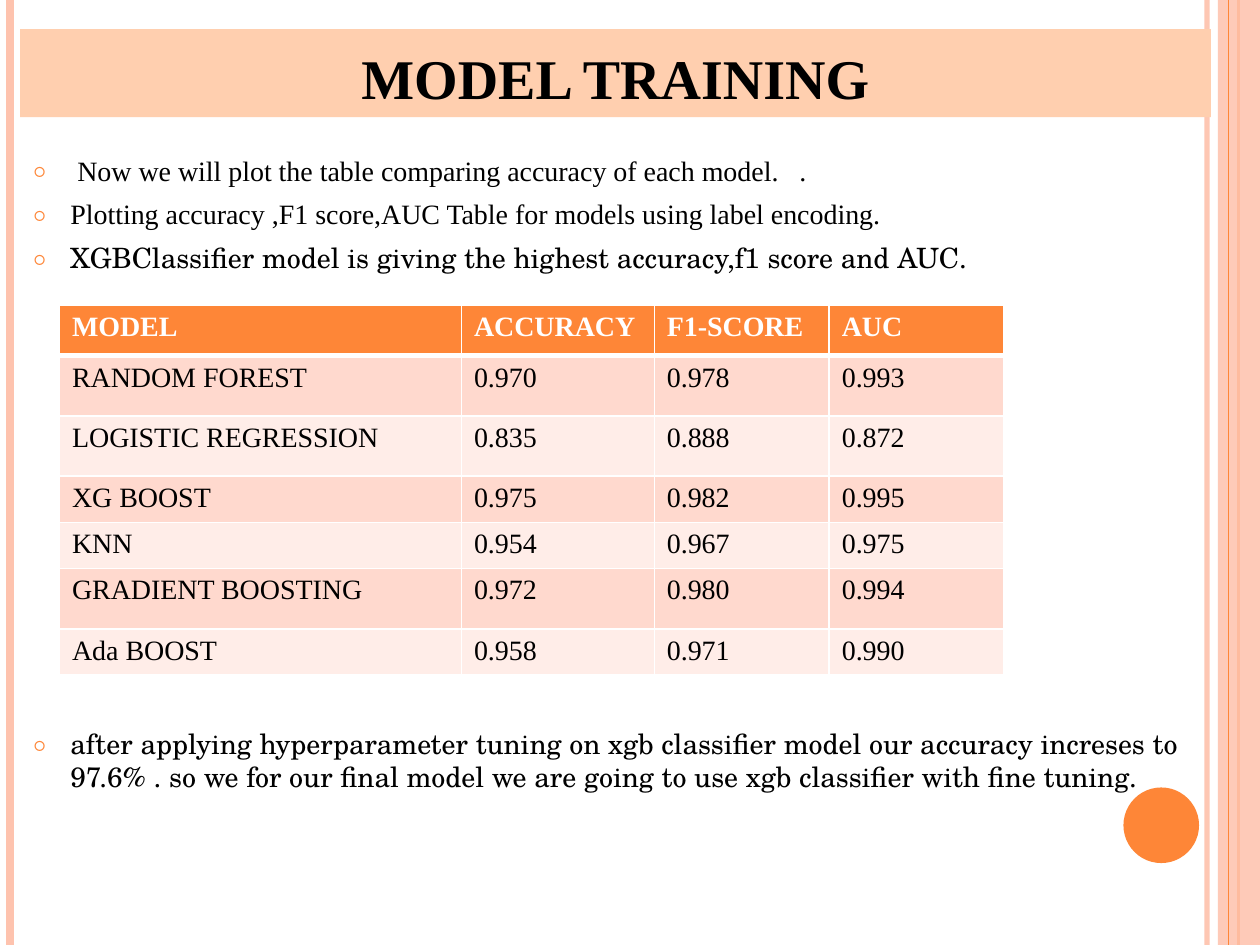
import dataclasses

import lxml.etree
import pptx
import pptx.dml.color
import pptx.enum.shapes
import pptx.enum.text
import pptx.oxml.ns
import pptx.slide
import pptx.util

Pt = pptx.util.Pt
qn = pptx.oxml.ns.qn
Shapes = pptx.enum.shapes.MSO_SHAPE
Align = pptx.enum.text.PP_ALIGN


@dataclasses.dataclass(frozen=True)
class Theme:
    orange: str = "FE8637"
    pink: str = "FEC3AE"
    peach: str = "FFCFAF"
    band_dark: str = "FFD9CE"
    band_light: str = "FFEDE8"
    black: str = "000000"
    white: str = "FFFFFF"
    serif: str = "Times New Roman"
    school: str = "TeX Gyre Schola"
    title_size: float = 32
    body_size: float = 16


@dataclasses.dataclass(frozen=True)
class Rule:
    x: float
    width: float
    color: str
    opacity: int = 100


@dataclasses.dataclass(frozen=True)
class Panel:
    kind: Shapes
    left: float
    top: float
    width: float
    height: float
    color: str
    opacity: int = 100


@dataclasses.dataclass(frozen=True)
class Bullet:
    text: str
    font: str
    space_before: float = 6


THEME = Theme()
PAGE_WIDTH, PAGE_HEIGHT = 720, 540

# Page furniture, back to front
FURNITURE = [
    Rule(689.8, 3, THEME.pink, 93),
    Rule(5.8, 4.5, THEME.pink),
    Rule(707.8, 1.5, THEME.orange),
    Panel(Shapes.RECTANGLE, 696, 0, 24, PAGE_HEIGHT, THEME.pink, 87),
    Rule(702, 0.75, THEME.orange),
    Panel(Shapes.OVAL, 642, 450, 43.2, 43.2, THEME.orange),
]
TITLE_BAND = Panel(Shapes.RECTANGLE, 11.5, 16.6, 680.4, 50.4, THEME.peach)

# The last bullet stands below the table
BULLETS = [
    Bullet(" Now we will plot the table comparing accuracy of each model.   .", THEME.serif),
    Bullet("Plotting accuracy ,F1 score,AUC Table for models using label encoding.", THEME.serif),
    Bullet("XGBClassifier model is giving the highest accuracy,f1 score and AUC.", THEME.school),
    Bullet("after applying hyperparameter tuning on xgb classifier model our accuracy increses to "
           "97.6% . so we for our final model we are going to use xgb classifier with fine tuning.",
           THEME.school, 258.7),
]

SCORES = [
    ("MODEL", "ACCURACY", "F1-SCORE", "AUC"),
    ("RANDOM FOREST", "0.970", "0.978", "0.993"),
    ("LOGISTIC REGRESSION", "0.835", "0.888", "0.872"),
    ("XG BOOST", "0.975", "0.982", "0.995"),
    ("KNN", "0.954", "0.967", "0.975"),
    ("GRADIENT BOOSTING", "0.972", "0.980", "0.994"),
    ("Ada BOOST", "0.958", "0.971", "0.990"),
]
COLUMN_WIDTHS = [229.7, 110.2, 100, 100]
ROW_HEIGHTS = [28.8, 34.4, 34.4, 24.8, 24.8, 34.4, 24.8]


def rgb(color: str) -> pptx.dml.color.RGBColor:
    return pptx.dml.color.RGBColor.from_string(color)


def set_opacity(element, percent: int) -> None:
    if percent < 100:
        color = next(element.iter(qn("a:srgbClr")))
        lxml.etree.SubElement(color, qn("a:alpha"), val=str(percent * 1000))


def style_font(font, name: str, size: float, color: str, bold: bool = False) -> None:
    font.name, font.size, font.bold = name, Pt(size), bold
    font.color.rgb = rgb(color)


def draw_rule(page: pptx.slide.Slide, rule: Rule) -> None:
    line = page.shapes.add_connector(pptx.enum.shapes.MSO_CONNECTOR.STRAIGHT,
                                     Pt(rule.x), Pt(0), Pt(rule.x), Pt(PAGE_HEIGHT))
    line.line.width = Pt(rule.width)
    line.line.color.rgb = rgb(rule.color)
    properties = line._element.spPr
    set_opacity(properties, rule.opacity)
    lxml.etree.SubElement(properties, qn("a:effectLst"))


def draw_panel(page: pptx.slide.Slide, panel: Panel):
    shape = page.shapes.add_shape(panel.kind, Pt(panel.left), Pt(panel.top),
                                  Pt(panel.width), Pt(panel.height))
    shape.shadow.inherit = False
    shape.fill.solid()
    shape.fill.fore_color.rgb = rgb(panel.color)
    shape.line.fill.background()
    set_opacity(shape._element.spPr, panel.opacity)
    return shape


def draw_title(page: pptx.slide.Slide, text: str) -> None:
    frame = draw_panel(page, TITLE_BAND).text_frame
    frame.vertical_anchor = pptx.enum.text.MSO_ANCHOR.BOTTOM
    para = frame.paragraphs[0]
    para.text, para.alignment = text, Align.CENTER
    style_font(para.font, THEME.serif, THEME.title_size, THEME.black, bold=True)


def add_bullet_mark(para) -> None:
    properties = para._p.get_or_add_pPr()
    indent = Pt(21.6)
    properties.set("marL", str(indent))
    properties.set("indent", str(-indent))
    color = lxml.etree.SubElement(properties, qn("a:buClr"))
    lxml.etree.SubElement(color, qn("a:srgbClr"), val=THEME.orange)
    lxml.etree.SubElement(properties, qn("a:buSzPct"), val="70000")
    lxml.etree.SubElement(properties, qn("a:buFont"), typeface=THEME.school)
    lxml.etree.SubElement(properties, qn("a:buChar"), char="○")


def draw_bullets(page: pptx.slide.Slide, bullets: list[Bullet]) -> None:
    box = page.shapes.add_textbox(Pt(11.5), Pt(84.2), Pt(675.4), Pt(438.5))
    frame = box.text_frame
    frame.word_wrap = True
    for index, bullet in enumerate(bullets):
        para = frame.add_paragraph() if index else frame.paragraphs[0]
        para.text = bullet.text
        para.line_spacing = Pt(19)
        para.space_before = Pt(bullet.space_before)
        add_bullet_mark(para)
        style_font(para.font, bullet.font, THEME.body_size, THEME.black)


def set_borders(cell, top: float, bottom: float) -> None:
    properties = cell._tc.get_or_add_tcPr()
    for side, width in (("L", 1), ("R", 1), ("T", top), ("B", bottom)):
        line = lxml.etree.SubElement(properties, qn(f"a:ln{side}"), w=str(Pt(width)))
        fill = lxml.etree.SubElement(line, qn("a:solidFill"))
        lxml.etree.SubElement(fill, qn("a:srgbClr"), val=THEME.white)


def draw_scores(page: pptx.slide.Slide) -> None:
    table = page.shapes.add_table(len(SCORES), len(COLUMN_WIDTHS), Pt(34), Pt(174.5),
                                  Pt(sum(COLUMN_WIDTHS)), Pt(sum(ROW_HEIGHTS))).table
    for column, width in zip(table.columns, COLUMN_WIDTHS):
        column.width = Pt(width)
    for index, (row, height, texts) in enumerate(zip(table.rows, ROW_HEIGHTS, SCORES)):
        row.height = Pt(height)
        header = index == 0
        band = THEME.band_dark if index % 2 else THEME.band_light
        for cell, text in zip(row.cells, texts):
            set_borders(cell, top=3 if index == 1 else 1, bottom=3 if header else 1)
            cell.fill.solid()
            cell.fill.fore_color.rgb = rgb(THEME.orange if header else band)
            para = cell.text_frame.paragraphs[0]
            para.text = text
            style_font(para.font, THEME.serif, THEME.body_size,
                       THEME.white if header else THEME.black, bold=header)


def main() -> None:
    deck = pptx.Presentation()
    deck.slide_width, deck.slide_height = Pt(PAGE_WIDTH), Pt(PAGE_HEIGHT)
    page = deck.slides.add_slide(deck.slide_layouts[6])
    for part in FURNITURE:
        if isinstance(part, Rule):
            draw_rule(page, part)
        else:
            draw_panel(page, part)
    draw_bullets(page, BULLETS)
    draw_title(page, "MODEL TRAINING")
    draw_scores(page)
    deck.save("out.pptx")


if __name__ == "__main__":
    main()
